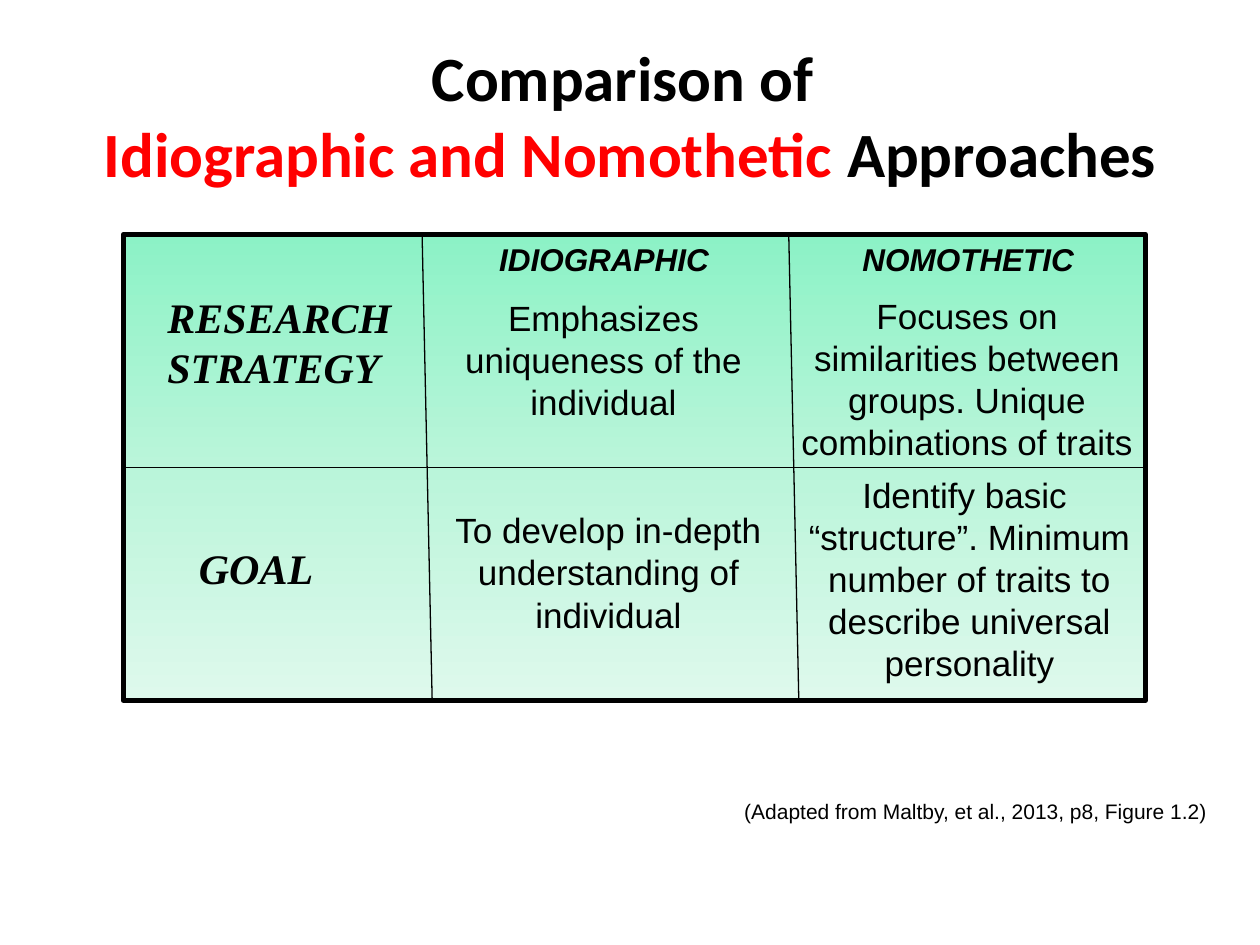
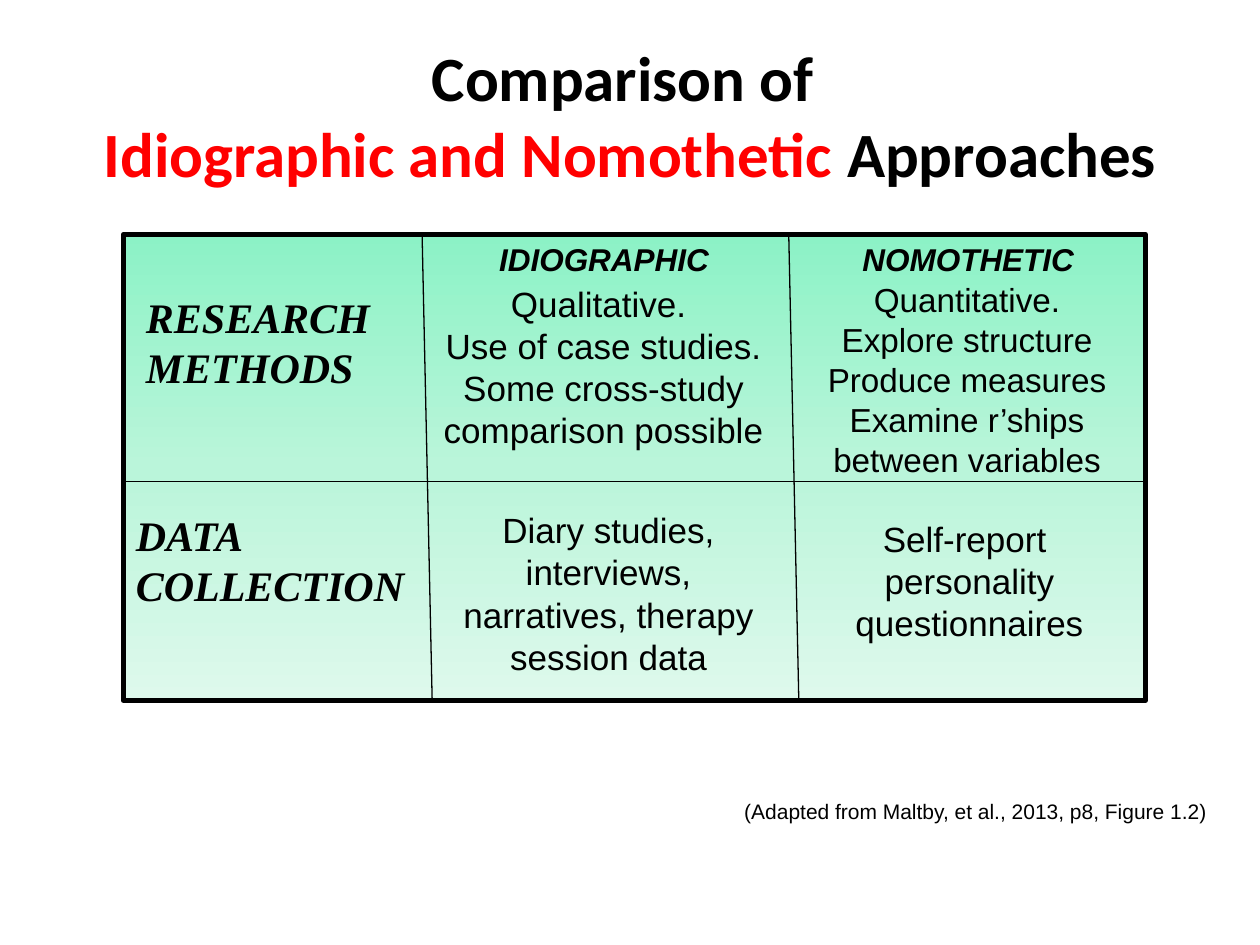
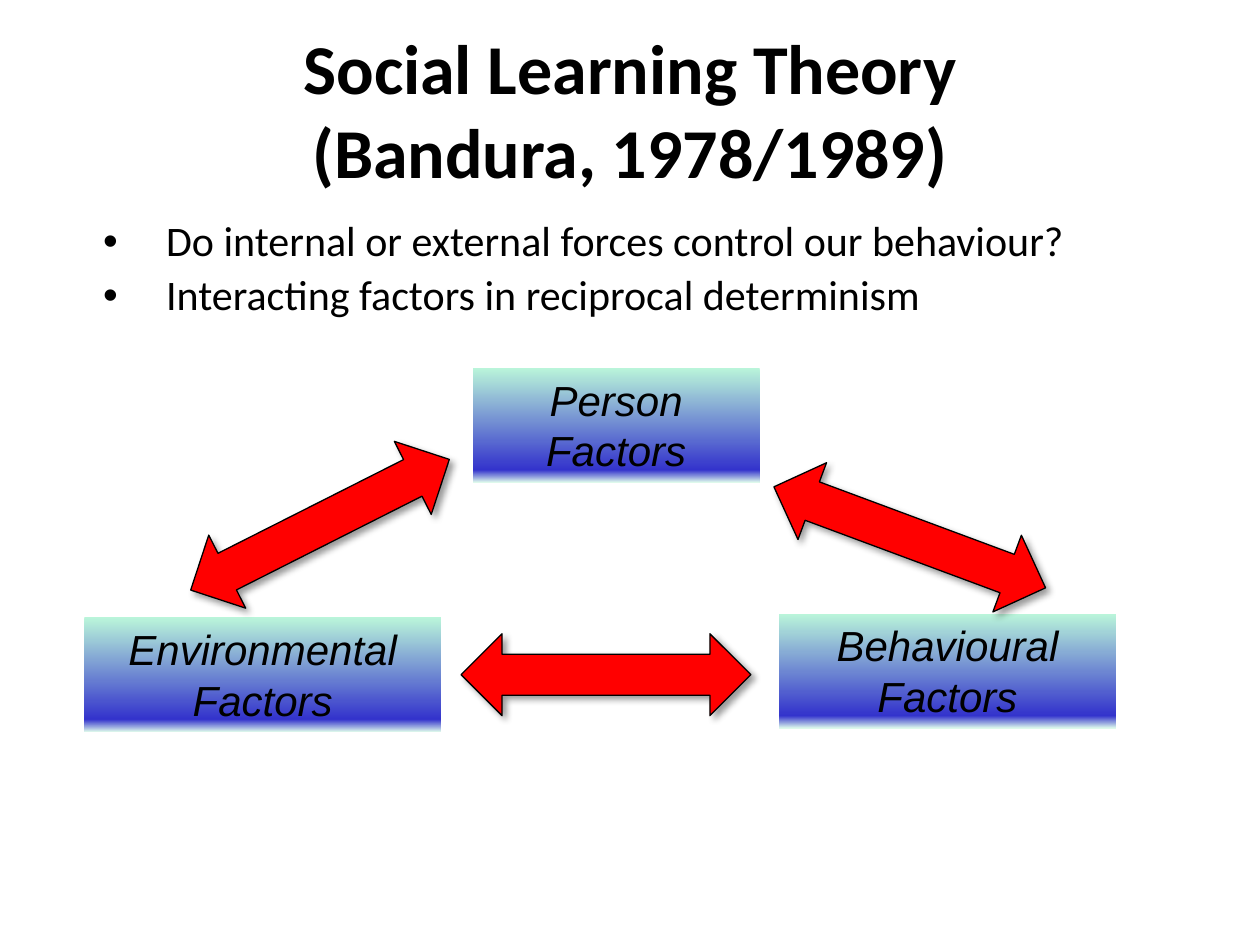
from lxml import etree
from pptx import Presentation
from pptx.dml.color import RGBColor
from pptx.enum.shapes import MSO_CONNECTOR, MSO_SHAPE
from pptx.enum.text import MSO_ANCHOR, PP_ALIGN
from pptx.oxml.ns import qn
from pptx.util import Inches, Pt

LEFT, CENTER, RIGHT = PP_ALIGN.LEFT, PP_ALIGN.CENTER, PP_ALIGN.RIGHT
TOP, MIDDLE = MSO_ANCHOR.TOP, MSO_ANCHOR.MIDDLE
RECT, ARROW = MSO_SHAPE.RECTANGLE, MSO_SHAPE.LEFT_RIGHT_ARROW
STRAIGHT = MSO_CONNECTOR.STRAIGHT

BLACK, RED = "000000", "FF0000"
PANEL_STOPS = [(0, "8CF2C6"), (50, "BAF5DA"), (100, "DEF9EC")]
FACTOR_STOPS = [(0, "BAF5DA"), (89, "3333CC"), (100, "DEF9EC")]
HEADING, BODY, LABEL = "Calibri", "Arial", "Times New Roman"

SLIDE_W, SLIDE_H = 10, 7.5
PANEL = (0.98, 1.86, 8.11, 3.7)
DIVIDERS = (2.37, 5.28)
DIVIDER_LEAN = 0.08
HEADERS = [("IDIOGRAPHIC", 2.38), ("NOMOTHETIC", 5.27)]
HEADER_W = 2.87
CELL_SPANS = [[(2.41, 2.8), (5.25, 2.89)], [(2.45, 2.8), (5.2, 3.03)]]
LINE_H = 0.33


def rgb(color):
    return RGBColor.from_string(color)


def add_run(p, text, font, size, color=BLACK, bold=False, italic=False):
    r = p.add_run()
    r.text = text
    r.font.name = font
    r.font.size = Pt(size)
    r.font.color.rgb = rgb(color)
    r.font.bold = bold
    r.font.italic = italic


def next_paragraph(tf, first, align=LEFT):
    p = tf.paragraphs[0] if first else tf.add_paragraph()
    p.alignment = align
    return p


def text_box(s, box, anchor=TOP):
    tf = s.shapes.add_textbox(*map(Inches, box)).text_frame
    tf.word_wrap = True
    tf.vertical_anchor = anchor
    return tf


def add_text(s, box, lines, size, align=CENTER, **style):
    tf = text_box(s, box)
    for i, line in enumerate(lines):
        add_run(next_paragraph(tf, i == 0, align), line, BODY, size, **style)


def add_title(s, top, height, lines, size):
    p = next_paragraph(text_box(s, (0, top, SLIDE_W, height), MIDDLE), True, CENTER)
    for i, line in enumerate(lines):
        if i:
            p.add_line_break()
        for text, color in line:
            add_run(p, text, HEADING, size, color, bold=True)


def gradient_rect(s, box, stops):
    sp = s.shapes.add_shape(RECT, *map(Inches, box))
    sp.shadow.inherit = False
    sp.fill.gradient()
    sp.fill.gradient_angle = 270
    gs_list = sp._element.spPr.find(qn("a:gradFill")).find(qn("a:gsLst"))
    gs_list.clear()
    for position, color in stops:
        gs = etree.SubElement(gs_list, qn("a:gs"), pos=str(position * 1000))
        etree.SubElement(gs, qn("a:srgbClr"), val=color)
    sp.text_frame.word_wrap = True
    sp.text_frame.vertical_anchor = TOP
    return sp


def add_line(s, start, end):
    line = s.shapes.add_connector(STRAIGHT, *map(Inches, start + end))
    line.line.color.rgb = rgb(BLACK)
    line.line.width = Pt(0.75)
    etree.SubElement(line._element.spPr, qn("a:effectLst"))
    return line


def add_panel(s, box, labels, row_share):
    x, y, w, h = box
    panel = gradient_rect(s, box, PANEL_STOPS)
    panel.line.color.rgb = rgb(BLACK)
    panel.line.width = Pt(3)
    tf = panel.text_frame
    tf.margin_top = Inches(0.45)
    for i, (text, indent, gap) in enumerate(labels):
        p = next_paragraph(tf, i == 0)
        p._p.get_or_add_pPr().set("marL", str(Inches(indent)))
        if gap:
            p.space_before = Pt(gap)
        add_run(p, text, LABEL, 24, bold=True, italic=True)
    for dx in DIVIDERS:
        add_line(s, (x + dx, y), (x + dx + DIVIDER_LEAN, y + h))
    row_y = y + h * row_share
    row_line = add_line(s, (x, row_y), (x + w, row_y))
    if row_share == 0.5:
        row_line.begin_connect(panel, 1)
        row_line.end_connect(panel, 3)


def comparison_slide(prs, labels, row_share, cells):
    s = prs.slides.add_slide(prs.slide_layouts[6])
    add_title(s, 0.36, 1.1, [[("Comparison of ", BLACK)],
                             [("Idiographic and Nomothetic ", RED), ("Approaches", BLACK)]], 36)
    add_text(s, (0.35, 6.29, 9.33, 0.3),
             ["(Adapted from Maltby, et al., 2013, p8, Figure 1.2)"], 12, RIGHT)
    add_panel(s, PANEL, labels, row_share)
    x, y = PANEL[:2]
    for text, dx in HEADERS:
        add_text(s, (x + dx, y, HEADER_W, 0.4), [text], 18, bold=True, italic=True)
    for spans, row in zip(CELL_SPANS, cells):
        for (dx, width), (dy, rows, size, lines) in zip(spans, row):
            add_text(s, (x + dx, y + dy, width, 0.1 + rows * LINE_H), lines, size)


def add_bullets(s, box, lines):
    tf = text_box(s, box)
    for i, line in enumerate(lines):
        p = next_paragraph(tf, i == 0)
        pPr = p._p.get_or_add_pPr()
        pPr.set("marL", str(Inches(0.5)))
        pPr.set("indent", str(Inches(-0.5)))
        etree.SubElement(pPr, qn("a:buFont"), typeface="Arial")
        etree.SubElement(pPr, qn("a:buChar"), char="•")
        p.line_spacing = 0.9
        if i:
            p.space_before = Pt(5)
        add_run(p, line, HEADING, 24)


def add_factor(s, x, y, width, text):
    sp = gradient_rect(s, (x, y, width, 0.91), FACTOR_STOPS)
    sp.line.fill.background()
    add_run(next_paragraph(sp.text_frame, True, CENTER), text, BODY, 24, italic=True)


def add_arrow(s, x, y, rotation):
    sp = s.shapes.add_shape(ARROW, *map(Inches, (x, y, 2.3, 0.65)))
    sp.rotation = rotation
    sp.fill.solid()
    sp.fill.fore_color.rgb = rgb(RED)
    sp.line.color.rgb = rgb(BLACK)
    sp.line.width = Pt(0.75)
    sp.shadow.inherit = False
    effects = sp._element.spPr.find(qn("a:effectLst"))
    shadow = etree.SubElement(effects, qn("a:outerShdw"), blurRad=str(Pt(4)),
                              dist=str(Pt(3)), dir=str(45 * 60000))
    color = etree.SubElement(shadow, qn("a:srgbClr"), val=BLACK)
    etree.SubElement(color, qn("a:alpha"), val="40000")


def theory_slide(prs):
    s = prs.slides.add_slide(prs.slide_layouts[6])
    add_title(s, 0.21, 1.3, [[("Social Learning Theory", BLACK)],
                             [("(Bandura, 1978/1989)", BLACK)]], 40)
    add_bullets(s, (0.72, 1.7, 9.28, 1.02),
                ["Do internal or external forces control our behaviour?",
                 "Interacting factors in reciprocal determinism"])
    for factor in [(3.75, 2.92, 2.28, "Person Factors"),
                   (6.18, 4.87, 2.68, "Behavioural Factors"),
                   (0.67, 4.9, 2.83, "Environmental Factors")]:
        add_factor(s, *factor)
    for arrow in [(1.39, 3.84, 333.2), (6.07, 3.94, 20.4), (3.66, 5.03, 0)]:
        add_arrow(s, *arrow)


def main():
    prs = Presentation()
    prs.slide_width, prs.slide_height = Inches(SLIDE_W), Inches(SLIDE_H)
    comparison_slide(
        prs,
        [("RESEARCH", 0.25, 0), ("STRATEGY", 0.25, 0), ("GOAL", 0.5, 86)],
        0.5,
        [[(0.44, 3, 20, ["Emphasizes uniqueness of the individual"]),
          (0.43, 4, 20, ["Focuses on similarities between groups. "
                         "Unique combinations of traits"])],
         [(2.13, 3, 20, ["To develop in-depth understanding of individual"]),
          (1.85, 5, 20, ["Identify basic ", "“structure”. Minimum number of traits "
                         "to describe universal personality"])]])
    comparison_slide(
        prs,
        [("RESEARCH", 0.08, 0), ("METHODS", 0.08, 0),
         ("DATA", 0, 67), ("COLLECTION", 0, 0)],
        0.53,
        [[(0.33, 4, 20, ["Qualitative. ", "Use of case studies. Some cross-study "
                         "comparison possible"]),
          (0.31, 5, 19, ["Quantitative.", "Explore structure", "Produce measures",
                         "Examine r’ships between variables"])],
         [(2.13, 4, 20, ["Diary studies, interviews, narratives, therapy session data"]),
          (2.2, 3, 20, ["Self-report ", "personality questionnaires"])]])
    theory_slide(prs)
    prs.save("out.pptx")


if __name__ == "__main__":
    main()
